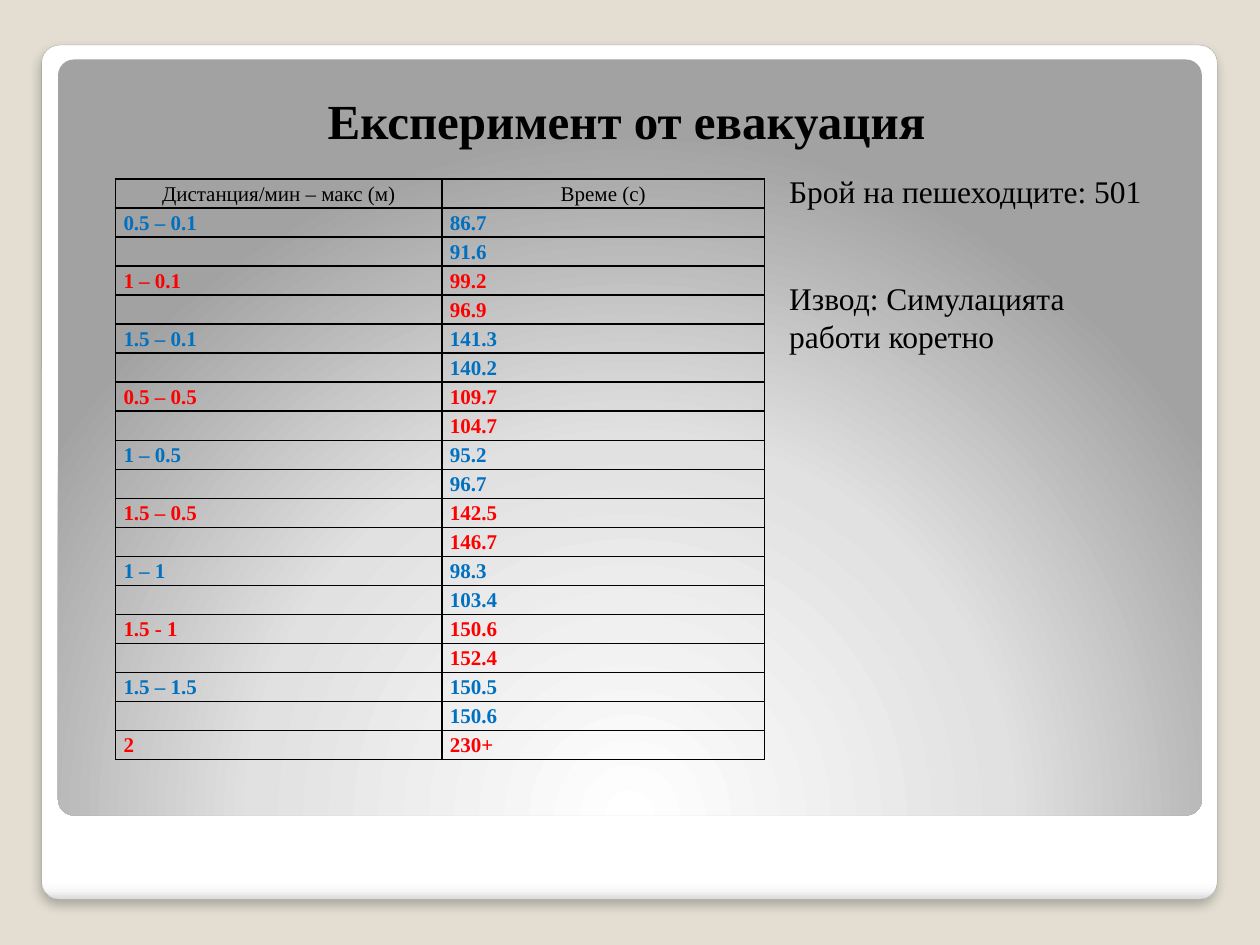
from dataclasses import dataclass

from lxml import etree
from pptx import Presentation
from pptx.dml.color import RGBColor as Rgb
from pptx.enum.shapes import MSO_SHAPE as Preset
from pptx.enum.text import MSO_AUTO_SIZE as AutoSize, PP_ALIGN as Align
from pptx.oxml import parse_xml
from pptx.util import Cm, Pt

TITLE = "Експеримент от евакуация"
PEDESTRIANS = "Брой на пешеходците: 501"
CONCLUSION = "Извод: Симулацията работи коретно"
HEADINGS = ("Дистанция/мин – макс (м)", "Време (с)")
EXPERIMENTS = [
    ("0.5 – 0.1", ("86.7", "91.6")),
    ("1 – 0.1", ("99.2", "96.9")),
    ("1.5 – 0.1", ("141.3", "140.2")),
    ("0.5 – 0.5", ("109.7", "104.7")),
    ("1 – 0.5", ("95.2", "96.7")),
    ("1.5 – 0.5", ("142.5", "146.7")),
    ("1 – 1", ("98.3", "103.4")),
    ("1.5 - 1", ("150.6", "152.4")),
    ("1.5 – 1.5", ("150.5", "150.6")),
    ("2", ("230+",)),
]


@dataclass(frozen=True)
class Theme:
    font: str = "Times New Roman"
    background: str = "E3DED1"
    text: str = "000000"
    border: str = "000000"
    card_line: str = "A4A4A4"
    groups: tuple = ("0070C0", "FF0000")
    card_stops: tuple = ((0, "FFFFFF"), (98, "FFFFFF"), (99, "F7F7F7"), (100, "DADADA"))
    panel_stops: tuple = ((0, "FFFFFF"), (55, "E1E1E1"), (100, "A2A2A2"))
    title_size: int = 28
    note_size: int = 18
    table_size: int = 12


THEME = Theme()
NAMESPACE = "http://schemas.openxmlformats.org/drawingml/2006/main"
DOWNWARD = '<a:lin ang="5400000" scaled="0"/>'
RADIAL = ('<a:path path="circle"><a:fillToRect l="50000" t="175000" '
          'r="50000" b="-75000"/></a:path>')


def drawing_xml(tag, content, attributes=""):
    return parse_xml(f'<a:{tag} xmlns:a="{NAMESPACE}" {attributes}>{content}</a:{tag}>')


def add_rounded(slide, place, stops, direction):
    shape = slide.shapes.add_shape(Preset.ROUNDED_RECTANGLE, *map(Cm, place))
    shape.adjustments[0] = 0.021
    shape.shadow.inherit = False
    shape.line.fill.background()
    stop_xml = "".join(f'<a:gs pos="{position * 1000}"><a:srgbClr val="{color}"/></a:gs>'
                       for position, color in stops)
    gradient = drawing_xml("gradFill", f"<a:gsLst>{stop_xml}</a:gsLst>{direction}")
    shape._element.spPr.find(f"{{{NAMESPACE}}}prstGeom").addnext(gradient)
    return shape


def add_card(slide):
    card = add_rounded(slide, (0.84, 0.91, 23.7, 17.22), THEME.card_stops, DOWNWARD)
    card.line.color.rgb = Rgb.from_string(THEME.card_line)
    card.line.width = Pt(0.16)
    shadow = drawing_xml(
        "outerShdw", '<a:srgbClr val="000000"><a:alpha val="25000"/></a:srgbClr>',
        f'blurRad="{Pt(6)}" dist="{Pt(4)}" dir="5400000" algn="t" rotWithShape="0"')
    card._element.spPr.find(f"{{{NAMESPACE}}}effectLst").append(shadow)


def write(frame, text, size, color=THEME.text, bold=False, align=Align.LEFT):
    frame.text = text
    para = frame.paragraphs[0]
    para.alignment = align
    for span in para.runs:
        span.font.name = THEME.font
        span.font.size = Pt(size)
        span.font.bold = bold
        span.font.color.rgb = Rgb.from_string(color)
    return para


def add_text(slide, place, text, size, wrap=True, **style):
    box = slide.shapes.add_textbox(*map(Cm, place))
    box.text_frame.word_wrap = wrap
    box.text_frame.auto_size = AutoSize.SHAPE_TO_FIT_TEXT
    write(box.text_frame, text, size, **style)


def fill_cell(cell, text, **style):
    cell.margin_left = cell.margin_right = Cm(0.16)
    cell.margin_top = cell.margin_bottom = 0
    para = write(cell.text_frame, text, THEME.table_size, **style)
    para.line_spacing = 1.15
    if not text:  # an empty cell would otherwise grow to the default text size
        end = etree.SubElement(para._p, f"{{{NAMESPACE}}}endParaRPr")
        end.set("sz", str(THEME.table_size * 100))
    properties = cell._tc.get_or_add_tcPr()
    for side in "LRTB":
        properties.append(drawing_xml(
            f"ln{side}", f'<a:solidFill><a:srgbClr val="{THEME.border}"/></a:solidFill>',
            f'w="{Pt(1)}"'))
    cell.fill.background()


def table_rows():
    """Yield the cell texts and the text style of each row."""
    yield HEADINGS, {"align": Align.CENTER}
    for index, (distance, times) in enumerate(EXPERIMENTS):
        style = {"color": THEME.groups[index % len(THEME.groups)], "bold": True}
        for trial, time in enumerate(times):
            yield (distance if trial == 0 else "", time), style


def add_results(slide):
    rows = list(table_rows())
    table = slide.shapes.add_table(len(rows), len(HEADINGS), Cm(2.33), Cm(3.61),
                                   Cm(13.08), Cm(11.7)).table
    table.first_row = table.horz_banding = False
    for column, width in zip(table.columns, (6.58, 6.5)):
        column.width = Cm(width)
    for row, (texts, style) in zip(table.rows, rows):
        for cell, text in zip(row.cells, texts):
            fill_cell(cell, text, **style)


def main():
    deck = Presentation()
    deck.slide_width, deck.slide_height = Cm(25.4), Cm(19.05)
    slide = deck.slides.add_slide(deck.slide_layouts[6])
    slide.background.fill.solid()
    slide.background.fill.fore_color.rgb = Rgb.from_string(THEME.background)

    add_card(slide)
    add_rounded(slide, (1.17, 1.2, 23.06, 15.24), THEME.panel_stops, RADIAL)
    add_text(slide, (3.53, 1.7, 18.2, 1.45), TITLE, THEME.title_size,
             bold=True, align=Align.CENTER)
    add_results(slide)
    add_text(slide, (15.66, 3.35, 7.7, 1.02), PEDESTRIANS, THEME.note_size, wrap=False)
    add_text(slide, (15.66, 5.51, 7.62, 1.8), CONCLUSION, THEME.note_size)
    deck.save("out.pptx")


if __name__ == "__main__":
    main()
